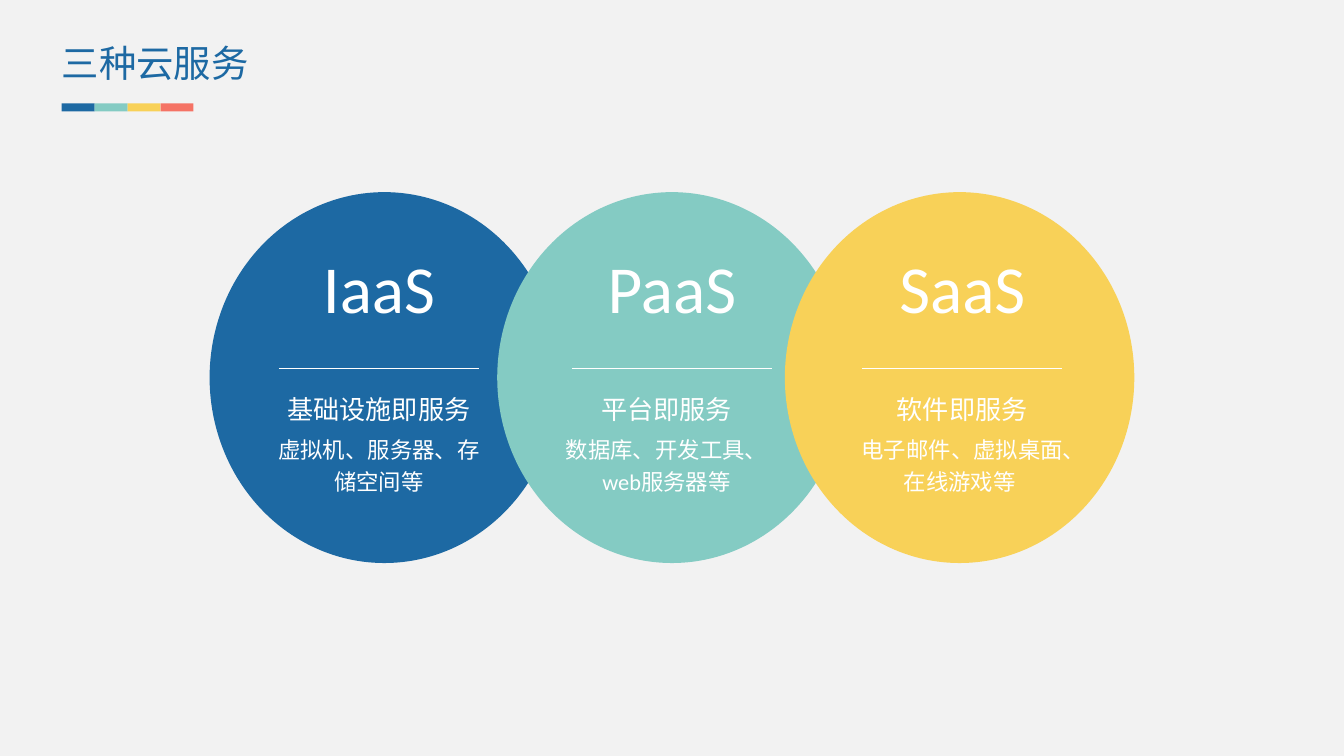
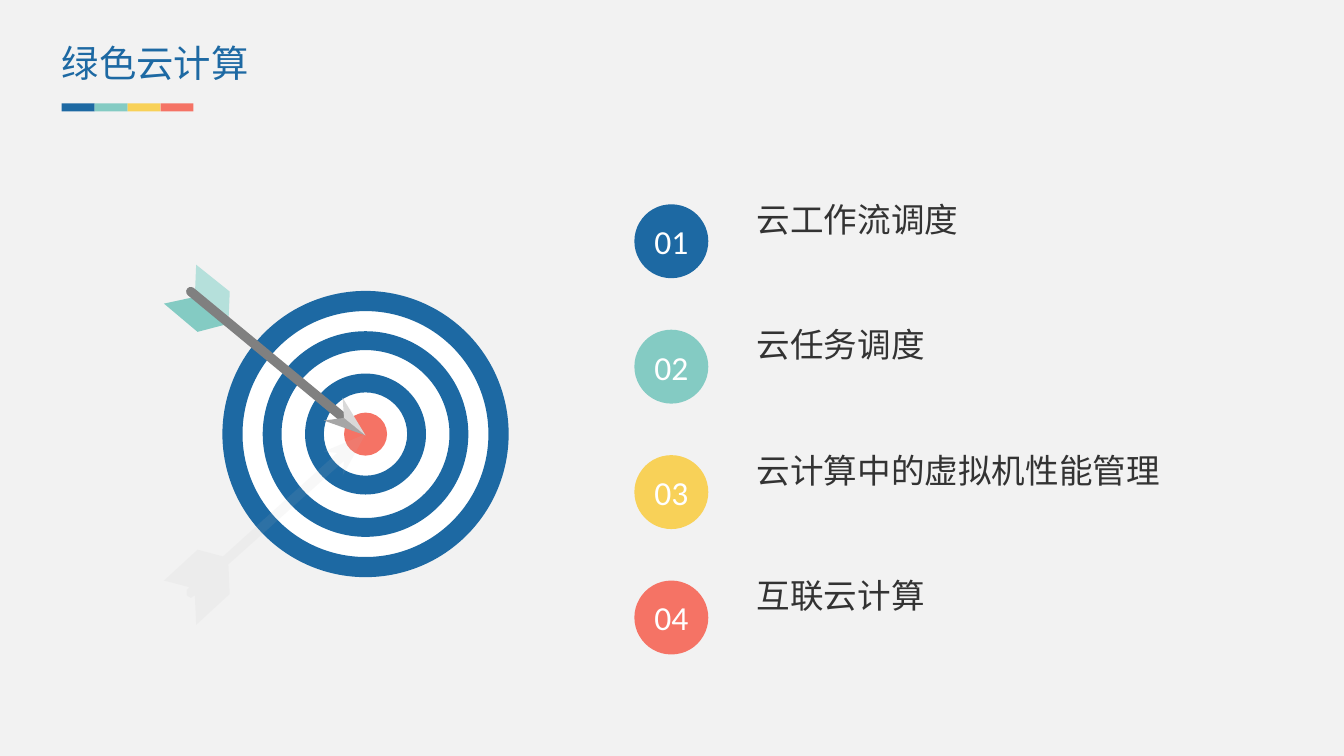
from dataclasses import dataclass
from math import atan2, degrees, hypot

from lxml import etree
from pptx import Presentation
from pptx.dml.color import RGBColor
from pptx.enum.shapes import MSO_CONNECTOR, MSO_SHAPE
from pptx.enum.text import MSO_ANCHOR, MSO_AUTO_SIZE, PP_ALIGN
from pptx.oxml.ns import qn
from pptx.util import Inches, Pt

OVAL, RECT = MSO_SHAPE.OVAL, MSO_SHAPE.RECTANGLE
RING, PILL = MSO_SHAPE.DONUT, MSO_SHAPE.ROUNDED_RECTANGLE
LEFT, MID = PP_ALIGN.LEFT, PP_ALIGN.CENTER
CENTRE = MSO_ANCHOR.MIDDLE
FIT = MSO_AUTO_SIZE.SHAPE_TO_FIT_TEXT
LINE = MSO_CONNECTOR.STRAIGHT


@dataclass(frozen=True)
class Theme:
    wide: float = 10
    high: float = 10 * 9 / 16
    back: str = "F2F2F2"
    white: str = "FFFFFF"
    dark: str = "333333"
    blue: str = "1D69A3"
    teal: str = "84CBC3"
    gold: str = "F8D158"
    red: str = "F57365"
    mint: str = "B5E0DB"
    shaft: str = "808080"
    steel: str = "A6A6A6"
    shine: str = "D9D9D9"
    shade: str = "BFBFBF"
    latin: str = "Calibri"
    asian: str = "Noto Sans CJK SC"
    huge: int = 36
    title: int = 20
    item: int = 18
    name: int = 14
    note: int = 12


T = Theme()
HUES = (T.blue, T.teal, T.gold, T.red)

# short name, full name, examples, centre of the heading, centre of the text
CLOUDS = [
    ("IaaS", "基础设施即服务", "虚拟机、服务器、存储空间等", 2.82, 2.82),
    ("PaaS", "平台即服务", "数据库、开发工具、web服务器等", 5.0, 4.96),
    ("SaaS", "软件即服务", "电子邮件、虚拟桌面、在线游戏等 ", 7.16, 7.16),
]
TOPICS = ["云工作流调度", "云任务调度", "云计算中的虚拟机性能管理", "互联云计算"]

HUB = (2.72, 3.23)  # centre of the target
RINGS = [(2.13, 0.15), (1.53, 0.14), (0.9, 0.14)]  # width, band
SHAFT = ((1.42, 2.17), (2.63, 3.17))
THICK = 0.07
FEATHERS = [
    (T.teal, [(1.7, 2.41), (1.47, 2.47), (1.22, 2.26), (1.45, 2.21)]),
    (T.mint, [(1.7, 2.41), (1.71, 2.17), (1.46, 1.97), (1.45, 2.21)]),
]
HEAD = [
    (T.steel, [(2.41, 3.13), (2.72, 3.24), (2.56, 3.11)]),
    (T.shine, [(2.56, 3.11), (2.72, 3.24), (2.55, 2.96)]),
]
SHADE = [
    (2.72, 3.23), (2.55, 3.54), (2.56, 3.43), (1.7, 4.2), (1.71, 4.42),
    (1.46, 4.65), (1.45, 4.43), (1.42, 4.45), (1.39, 4.43), (1.39, 4.39),
    (1.41, 4.37), (1.22, 4.32), (1.47, 4.09), (1.66, 4.14), (2.51, 3.37),
    (2.41, 3.36),
]


def rgb(hue):
    return RGBColor.from_string(hue)


def paint(part, hue):
    """Give a shape a flat fill with no outline or shadow."""
    part.shadow.inherit = False
    part.fill.solid()
    part.fill.fore_color.rgb = rgb(hue)
    part.line.fill.background()
    return part


def shape(page, kind, x, y, w, h, hue):
    box = [Inches(n) for n in (x, y, w, h)]
    return paint(page.shapes.add_shape(kind, *box), hue)


def disc(page, kind, mid, size, hue):
    """Add a round shape by its centre."""
    return shape(page, kind, mid[0] - size / 2, mid[1] - size / 2,
                 size, size, hue)


def outline(page, dots, hue):
    first, *rest = [(Inches(x), Inches(y)) for x, y in dots]
    pen = page.shapes.build_freeform(*first, scale=1.0)
    pen.add_line_segments(rest, close=True)
    return paint(pen.convert_to_shape(), hue)


def write(frame, rows, hue, align=LEFT, face=T.latin, lead=None):
    """Fill a text frame with (text, size) rows."""
    frame.word_wrap = True
    frame.margin_left = frame.margin_right = 0
    frame.margin_top = frame.margin_bottom = 0
    for i, (text, size) in enumerate(rows):
        para = frame.add_paragraph() if i else frame.paragraphs[0]
        para.alignment = align
        if lead:
            para.line_spacing = lead
        if i:
            para.space_before = Pt(3)
        run = para.add_run()
        run.text = text
        run.font.size = Pt(size)
        run.font.color.rgb = rgb(hue)
        run.font.name = face
        east = etree.SubElement(run.font._element, qn("a:ea"))
        east.set("typeface", T.asian)


def label(page, x, y, w, h, rows, hue, **style):
    box = page.shapes.add_textbox(*[Inches(n) for n in (x, y, w, h)])
    write(box.text_frame, rows, hue, **style)
    box.text_frame.auto_size = FIT


def rule(page, mid, y, wide):
    ends = [Inches(n) for n in (mid - wide / 2, y, mid + wide / 2, y)]
    line = page.shapes.add_connector(LINE, *ends)
    line.line.color.rgb = rgb(T.white)
    line.line.width = Pt(0.5)
    etree.SubElement(line._element.spPr, qn("a:effectLst"))


def start(deck, title):
    """Add a page with its background, title and colour strip."""
    page = deck.slides.add_slide(deck.slide_layouts[6])
    fill = page.background.fill
    fill.solid()
    fill.fore_color.rgb = rgb(T.back)
    left, strip = 0.46, 0.98
    label(page, left, 0.3, 3.04, 0.34, [(title, T.title)], T.blue,
          face=T.asian)
    step = strip / len(HUES)
    for i, hue in enumerate(HUES):
        shape(page, RECT, left + i * step, 0.77, step, 0.06, hue)
    return page


def clouds(deck):
    page = start(deck, "三种云服务")
    left, top, wide, high = 1.56, 1.43, 2.6, 2.76
    step = (T.wide - 2 * left - wide) / (len(CLOUDS) - 1)
    for i, hue in enumerate(HUES[:len(CLOUDS)]):
        shape(page, OVAL, left + i * step, top, wide, high, hue)
    style = {"align": MID, "lead": 1.2}
    text, head = 1.62, 1.11
    for short, name, note, mid, axis in CLOUDS:
        label(page, axis - text / 2, 2.88, text, 0.81,
              [(name, T.name), (note, T.note)], T.white, **style)
        label(page, mid - head / 2, 1.71, head, 0.73,
              [(short, T.huge)], T.white, **style)
        rule(page, mid, 2.74, 1.49)


def target(page):
    disc(page, OVAL, HUB, 2.11, T.white)
    disc(page, OVAL, HUB, 0.32, T.red)
    for size, band in RINGS:
        disc(page, RING, HUB, size, T.blue).adjustments[0] = band / size


def arrow(page):
    for hue, dots in FEATHERS:
        outline(page, dots, hue)
    (x1, y1), (x2, y2) = SHAFT
    size = hypot(x2 - x1, y2 - y1) + THICK
    rod = shape(page, PILL, (x1 + x2 - size) / 2, (y1 + y2 - THICK) / 2,
                size, THICK, T.shaft)
    rod.adjustments[0] = 0.5
    rod.rotation = degrees(atan2(y2 - y1, x2 - x1))
    for hue, dots in HEAD:
        outline(page, dots, hue)
    shade = outline(page, SHADE, T.shade)
    tone = shade._element.spPr.find(".//" + qn("a:srgbClr"))
    etree.SubElement(tone, qn("a:alpha")).set("val", "10000")


def topics(deck):
    page = start(deck, "绿色云计算")
    target(page)
    arrow(page)
    top, last, size = 1.52, 4.32, 0.55
    step = (last - top) / (len(TOPICS) - 1)
    for i, (text, hue) in enumerate(zip(TOPICS, HUES)):
        y = top + i * step
        label(page, 5.63, y - 0.1, 3.14, 0.36, [(text, T.item)], T.dark,
              lead=1.2)
        dot = shape(page, OVAL, 4.72, y, size, size, hue)
        write(dot.text_frame, [(f"{i + 1:02}", T.item)], T.white, align=MID)
        dot.text_frame.vertical_anchor = CENTRE


def main():
    deck = Presentation()
    deck.slide_width, deck.slide_height = Inches(T.wide), Inches(T.high)
    clouds(deck)
    topics(deck)
    deck.save("out.pptx")


if __name__ == "__main__":
    main()
